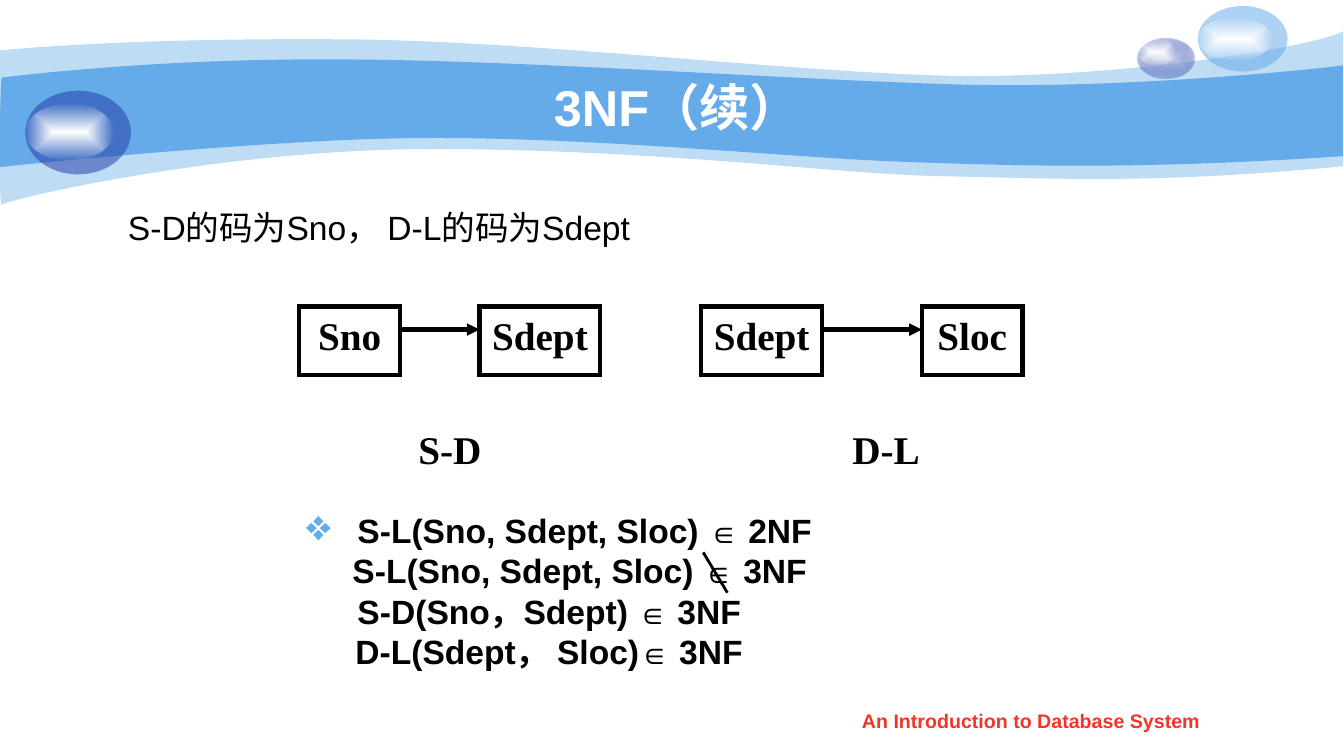
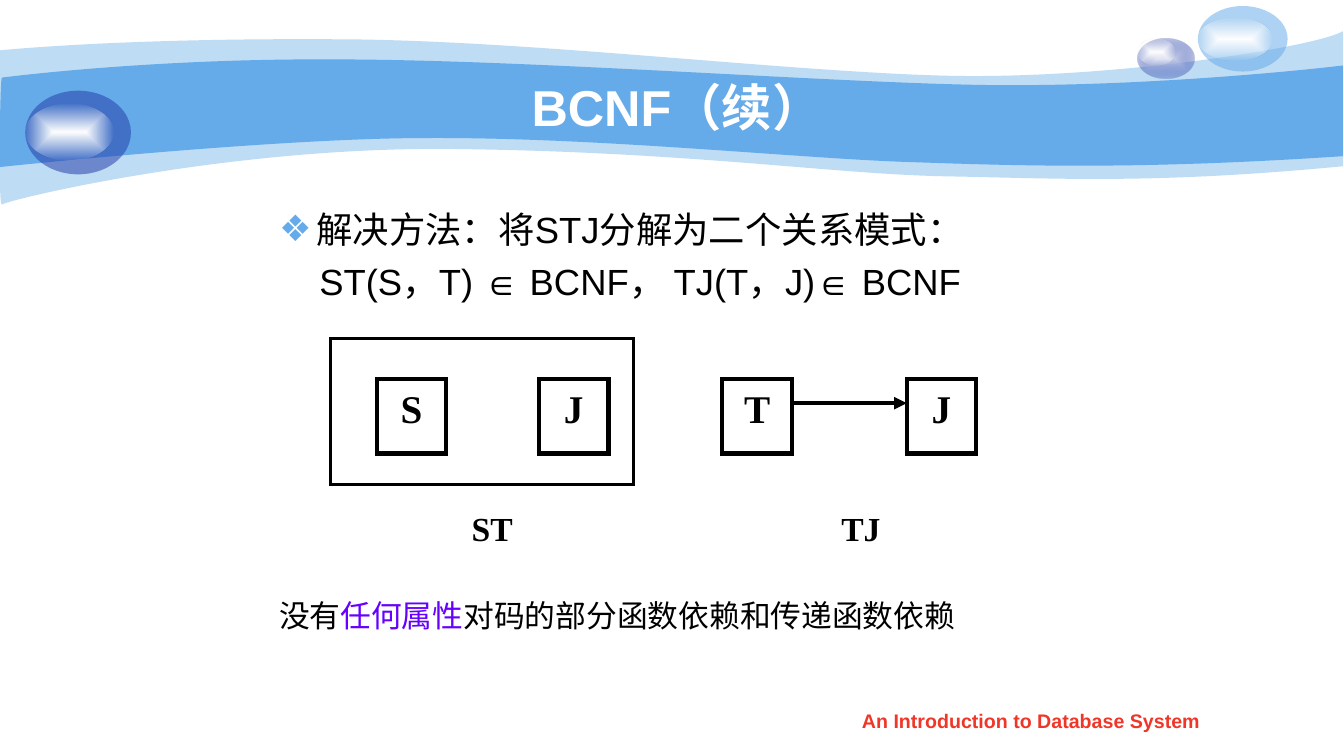
from pptx import Presentation
from pptx.dml.color import RGBColor
from pptx.enum.shapes import MSO_CONNECTOR as CONN, MSO_SHAPE as SHAPE
from pptx.enum.text import MSO_ANCHOR as ANCHOR, MSO_AUTO_SIZE as FIT, PP_ALIGN as ALIGN
from pptx.oxml import parse_xml
from pptx.oxml.ns import nsdecls, qn
from pptx.util import Inches, Pt

COLORS = {
    "sky": "65AAE9", "navy": "233DA9", "mist": "C7CEE9", "white": "FFFFFF",
    "black": "000000", "red": "F03628", "violet": "6600FF",
}
SANS, SERIF = "Arial", "Times New Roman"
OUTER_BAND = [
    [(0, 0.5)],
    [(0.32, 0.47), (1.43, 0.38), (3.29, 0.39)],
    [(5.14, 0.39), (7.67, 0.7), (9.32, 0.75)],
    [(10.96, 0.8), (13.06, 0.47), (13.33, 0.31)],
    [(13.33, 1.65)],
    [(11.44, 1.83), (10.5, 1.77), (9.39, 1.75)],
    [(8.29, 1.73), (6.87, 1.51), (4.58, 1.48)],
    [(2.29, 1.44), (0.05, 1.99), (0.02, 2.03)],
    [(-0.02, 2.08), (0, 0.75), (0, 0.5)],
]
INNER_BAND = [
    [(0.02, 0.77)],
    [(0.03, 0.77), (1.46, 0.58), (3.31, 0.59)],
    [(5.15, 0.59), (7.94, 0.8), (9.58, 0.84)],
    [(11.21, 0.88), (13.01, 0.69), (13.33, 0.65)],
    [(13.33, 1.55)],
    [(11.37, 1.68), (10.21, 1.65), (9.09, 1.61)],
    [(7.99, 1.58), (5.96, 1.36), (4.23, 1.37)],
    [(2.71, 1.37), (-0.03, 1.66), (-0.02, 1.66)],
    [(0, 1.66), (0, 0.77), (0.02, 0.77)],
]
GLOW = [("white", 100), ("white", 0)]
BUBBLES = [
    ((11.29, 0.38, 0.57, 0.4), [("mist", 100), ("navy", 31)]),
    ((11.29, 0.38, 0.38, 0.27), GLOW),
    ((11.89, 0.06, 0.89, 0.65), [("sky", 53)]),
    ((11.89, 0.17, 0.74, 0.43), GLOW),
    ((0.25, 0.9, 1.05, 0.83), [("navy", 53)]),
    ((0.25, 1.03, 0.88, 0.56), GLOW),
]


def rgb(name):
    return RGBColor.from_string(COLORS[name])


def inches(values):
    return [Inches(v) for v in values]


def element(tag, attrs="", inner=""):
    return parse_xml(f'<a:{tag} {nsdecls("a")} {attrs}>{inner}</a:{tag}>')


def color_xml(name, alpha):
    return f'<a:srgbClr val="{COLORS[name]}"><a:alpha val="{alpha * 1000}"/></a:srgbClr>'


def paint(sp, stops):
    if len(stops) == 1:
        fill = element("solidFill", inner=color_xml(*stops[0]))
    else:
        marks = "".join(f'<a:gs pos="{i * 100000}">{color_xml(*stop)}</a:gs>'
                        for i, stop in enumerate(stops))
        fill = element("gradFill", 'rotWithShape="1"',
                       f'<a:gsLst>{marks}</a:gsLst><a:path path="rect">'
                       '<a:fillToRect l="50000" t="50000" r="50000" b="50000"/></a:path>')
    sp.fill.solid()
    sp_pr = sp._element.spPr
    sp_pr.replace(sp_pr.find(qn("a:solidFill")), fill)
    sp.line.fill.background()
    sp.shadow.inherit = False


def add_band(s, segments, alpha):
    points = [inches(pt) for seg in segments for pt in seg]
    builder = s.shapes.build_freeform(*points[0])
    builder.add_line_segments(points[1:], close=True)
    sp = builder.convert_to_shape()
    steps = iter(list(sp._element.iter(qn("a:lnTo"))))
    for seg in segments[1:]:
        group = [next(steps) for _ in seg]
        if len(group) == 3:
            curve = element("cubicBezTo")
            group[0].addprevious(curve)
            for step in group:
                curve.append(step[0])
                step.getparent().remove(step)
    paint(sp, [("sky", alpha)])


def add_text(tf, parts, size=24, font=SANS, color="black", bold=False, align=ALIGN.LEFT,
             before=0, margin=0, hang=0, bullet=None, bullet_scale=100):
    p = tf.add_paragraph() if tf.text else tf.paragraphs[0]
    p.alignment = align
    p.space_before = Pt(before)
    p_pr = p._p.get_or_add_pPr()
    p_pr.set("marL", str(Inches(margin)))
    p_pr.set("indent", str(-Inches(hang)))
    if bullet:
        p_pr.append(element("buClr", inner=color_xml("sky", 100)))
        p_pr.append(element("buSzPct", f'val="{bullet_scale * 1000}"'))
        p_pr.append(element("buChar", f'char="{bullet}"'))
    else:
        p_pr.append(element("buNone"))
    for text, changes in [(parts, {})] if isinstance(parts, str) else parts:
        r = p.add_run()
        r.text = text
        r.font.name = font
        r.font.bold = bold
        r.font.size = Pt(changes.get("size", size))
        r.font.color.rgb = rgb(changes.get("color", color))


def add_label(s, at, parts, **fmt):
    tf = s.shapes.add_textbox(*inches(at)).text_frame
    tf.word_wrap = True
    add_text(tf, parts, **fmt)
    return tf


def add_box(s, at, text="", width=3):
    sp = s.shapes.add_shape(SHAPE.RECTANGLE, *inches(at))
    sp.shadow.inherit = False
    sp.fill.background()
    sp.line.color.rgb = rgb("black")
    sp.line.width = Pt(width)
    sp.line._get_or_add_ln().append(element("miter", 'lim="800000"'))
    if text:
        sp.text_frame.vertical_anchor = ANCHOR.TOP
        add_text(sp.text_frame, text, size=28, font=SERIF, bold=True, align=ALIGN.CENTER)


def add_line(s, start, end, width=3, arrow=False):
    line = s.shapes.add_connector(CONN.STRAIGHT, *inches(start + end))
    line.line.color.rgb = rgb("black")
    line.line.width = Pt(width)
    if arrow:
        line.line._get_or_add_ln().append(element("tailEnd", 'type="triangle"'))
    line._element.spPr.append(element("effectLst"))


def add_caption(s, at, text, size):
    add_label(s, at, text, size=size, font=SERIF, bold=True, align=ALIGN.CENTER)


def place(sp, at):
    sp.left, sp.top, sp.width, sp.height = inches(at)


def decorate_master(master, s):
    add_band(s, OUTER_BAND, 41)
    add_band(s, INNER_BAND, 100)
    for at, stops in BUBBLES:
        paint(s.shapes.add_shape(SHAPE.OVAL, *inches(at)), stops)
    decor = [sp for sp in s.shapes if not sp.is_placeholder]
    for i, sp in enumerate(decor):
        sp._element.nvSpPr.cNvPr.set("id", str(100 + i))
        master.shapes._spTree.insert(2 + i, sp._element)


def fill_frame(s, title, body_at):
    tf = s.shapes.title.text_frame
    tf.auto_size = FIT.NONE
    tf.vertical_anchor = ANCHOR.MIDDLE
    add_text(tf, title, size=36, color="white", bold=True, align=ALIGN.CENTER)
    add_label(s, (7.61, 6.98, 5.25, 0.35), "An Introduction to Database System",
              size=14, color="red", bold=True, align=ALIGN.CENTER)
    body = s.placeholders[1]
    place(body, body_at)
    body.text_frame.auto_size = FIT.NONE
    return body.text_frame


def build_3nf(s):
    tf = fill_frame(s, "3NF（续）", (0.67, 2, 12, 4.92))
    add_text(tf, "S-D的码为Sno， D-L的码为Sdept", margin=0.5)
    for left, width, text in ((2.97, 1, "Sno"), (4.76, 1.2, "Sdept"),
                              (6.96, 1.2, "Sdept"), (9.15, 1, "Sloc")):
        add_box(s, (left, 3.04, width, 0.68), text)
    for start, end in ((3.96, 4.76), (8.15, 9.15)):
        add_line(s, (start, 3.27), (end, 3.27), arrow=True)
    add_caption(s, (3.96, 4.17, 1.01, 0.68), "S-D", 28)
    add_caption(s, (8.35, 4.17, 0.89, 0.68), "D-L", 28)

    def membership(text):
        relation, symbol, form = text.partition("∈")
        return [(relation, {}), (symbol, {"size": 22}), (form, {})]

    tf = add_label(s, (2.65, 5.01, 5.75, 1.7), membership("S-L(Sno, Sdept, Sloc) ∈ 2NF"),
                   bold=True, margin=0.8, hang=0.51, bullet="❖", bullet_scale=130)
    for text, margin in (("S-L(Sno, Sdept, Sloc) ∈ 3NF", 0.75),
                         ("S-D(Sno，Sdept) ∈ 3NF", 0.8),
                         ("D-L(Sdept， Sloc)∈ 3NF", 0.78)):
        add_text(tf, membership(text), bold=True, margin=margin)
    add_line(s, (6.98, 5.48), (7.22, 5.88), width=2)


def build_bcnf(s):
    tf = fill_frame(s, "BCNF（续）", (2.67, 2, 8.5, 4.5))
    add_text(tf, "解决方法：将STJ分解为二个关系模式：", size=26, margin=0.37, hang=0.37, bullet="❖")
    add_text(tf, "ST(S，T) ∈ BCNF， TJ(T，J)∈ BCNF", size=26, margin=0.4, before=6.5)
    add_text(tf, [("没有", {}), ("任何属性", {"color": "violet"}),
                  ("对码的部分函数依赖和传递函数依赖", {})], size=22, before=210)
    for left, text in ((3.74, "S"), (5.35, "J"), (7.17, "T"), (9, "J")):
        add_box(s, (left, 3.76, 0.69, 0.74), text)
    add_line(s, (7.86, 4), (9, 4), arrow=True)
    add_box(s, (3.28, 3.36, 3.01, 1.45), width=2.25)
    for left, text in ((4.43, "ST"), (8.09, "TJ")):
        add_caption(s, (left, 4.99, 0.91, 0.74), text, 24)


def main():
    prs = Presentation()
    prs.slide_width, prs.slide_height = Inches(13.34), Inches(7.5)
    layout = prs.slide_layouts[1]
    place(layout.placeholders[0], (1.33, 0.75, 10.78, 0.62))
    slides = [prs.slides.add_slide(layout) for _ in range(2)]
    decorate_master(prs.slide_master, slides[0])
    for s, build in zip(slides, (build_3nf, build_bcnf)):
        build(s)
    prs.save("out.pptx")


if __name__ == "__main__":
    main()
